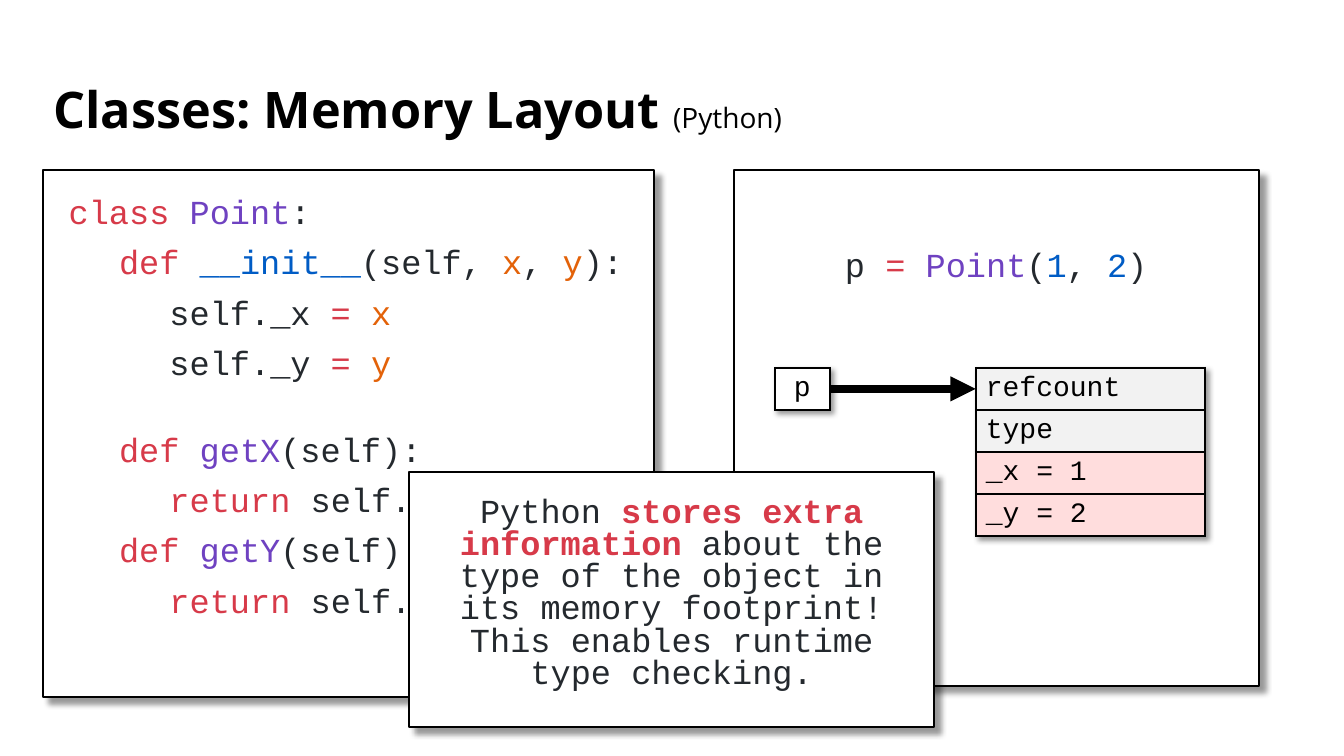
import pptx
import pptx.dml.color
import pptx.enum.shapes
import pptx.enum.text
import pptx.oxml
import pptx.oxml.ns
import pptx.util

Cm = pptx.util.Cm
Pt = pptx.util.Pt
RGBColor = pptx.dml.color.RGBColor
ALIGN = pptx.enum.text.PP_ALIGN
ANCHOR = pptx.enum.text.MSO_ANCHOR

BLACK = RGBColor(0x00, 0x00, 0x00)
WHITE = RGBColor(0xFF, 0xFF, 0xFF)
INK = RGBColor(0x24, 0x29, 0x2E)
RED = RGBColor(0xD7, 0x3A, 0x49)
PURPLE = RGBColor(0x6F, 0x42, 0xC1)
BLUE = RGBColor(0x00, 0x5C, 0xC5)
ORANGE = RGBColor(0xE3, 0x62, 0x09)
GREY_FILL = RGBColor(0xF2, 0xF2, 0xF2)
PINK_FILL = RGBColor(0xFF, 0xDD, 0xDD)

CODE_FONT = "Courier New"
TITLE_FONT = "Open Sans"
PAD = 0.64
TAB = 1.27
ROW = 1.06

CODE = [
    (0, [("class ", RED), ("Point", PURPLE), (":", INK)]),
    (1, [("def ", RED), ("__init__", BLUE), ("(self, ", INK), ("x", ORANGE),
         (", ", INK), ("y", ORANGE), ("):", INK)]),
    (2, [("self._x ", INK), ("= ", RED), ("x", ORANGE)]),
    (2, [("self._y ", INK), ("= ", RED), ("y", ORANGE)]),
    (1, [("def ", RED), ("getX", PURPLE), ("(self):", INK)]),
    (2, [("return ", RED), ("self._x", INK)]),
    (1, [("def ", RED), ("getY", PURPLE), ("(self):", INK)]),
    (2, [("return ", RED), ("self._y", INK)]),
]
BLOCK_STARTS = {4}
CALL = [("p ", INK), ("= ", RED), ("Point", PURPLE), ("(", INK),
        ("1", BLUE), (", ", INK), ("2", BLUE), (")", INK)]
NOTE = [("Python ", INK), ("stores extra information ", RED),
        ("about the type of the object in its memory footprint! "
         "This enables runtime type checking.", INK)]
FIELDS = [("refcount", GREY_FILL), ("type", GREY_FILL),
          ("_x = 1", PINK_FILL), ("_y = 2", PINK_FILL)]


def xml(text):
    ns = pptx.oxml.ns.nsdecls("a")
    return pptx.oxml.parse_xml(text.replace(">", f" {ns}>", 1))


def apply(target, formats):
    for name, value in formats.items():
        setattr(target, name, value)


def place(sp, box):
    apply(sp, dict(zip(("left", "top", "width", "height"), map(Cm, box))))


def add_run(p, text, color, size, font=CODE_FONT, bold=False):
    r = p.add_run()
    r.text = text
    apply(r.font, {"name": font, "size": Pt(size), "bold": bold})
    r.font.color.rgb = color


def shadow_xml(blur, dist):
    return ('<a:outerShdw blurRad="%d" dist="%d" dir="2700000" algn="tl" '
            'rotWithShape="0"><a:srgbClr val="000000"><a:alpha val="40000"/>'
            '</a:srgbClr></a:outerShdw>' % (Pt(blur), Pt(dist)))


def style_panel(sp, top_pad=PAD):
    sp.fill.solid()
    sp.fill.fore_color.rgb = WHITE
    sp.line.color.rgb = BLACK
    sp.line.width = Pt(1.5)
    sp.shadow.inherit = False
    effects = sp._element.spPr.find(pptx.oxml.ns.qn("a:effectLst"))
    effects.append(xml(shadow_xml(4, 6)))
    tf = sp.text_frame
    apply(tf, {"word_wrap": True, "auto_size": pptx.enum.text.MSO_AUTO_SIZE.NONE,
               "vertical_anchor": ANCHOR.TOP, "margin_top": Cm(top_pad),
               "margin_left": Cm(PAD), "margin_right": Cm(PAD),
               "margin_bottom": Cm(PAD)})
    return tf


def add_title(s, box):
    sp = s.shapes.title
    place(sp, box)
    tf = sp.text_frame
    apply(tf, {"vertical_anchor": ANCHOR.MIDDLE, "word_wrap": True})
    p = tf.paragraphs[0]
    apply(p, {"alignment": ALIGN.LEFT, "line_spacing": 0.9})
    add_run(p, "Classes: Memory Layout ", BLACK, 36, TITLE_FONT, True)
    add_run(p, "(Python)", BLACK, 20, TITLE_FONT)


def add_code(s, box):
    sp = s.placeholders[1]
    place(sp, box)
    tf = style_panel(sp)
    for i, (depth, parts) in enumerate(CODE):
        p = tf.add_paragraph() if i else tf.paragraphs[0]
        pPr = p._p.get_or_add_pPr()
        pPr.set("marL", str(Cm(TAB * depth)))
        pPr.set("indent", "0")
        pPr.append(xml("<a:buNone></a:buNone>"))
        before = 36 if i in BLOCK_STARTS else 10 if i else 0
        apply(p, {"line_spacing": 0.9, "space_before": Pt(before)})
        for text, color in parts:
            add_run(p, text, color, 24)


def add_panel(s, box, parts, spacing, top_pad=PAD, bold_color=None):
    sp = s.shapes.add_shape(pptx.enum.shapes.MSO_SHAPE.RECTANGLE, *map(Cm, box))
    p = style_panel(sp, top_pad).paragraphs[0]
    apply(p, {"alignment": ALIGN.CENTER, "line_spacing": spacing})
    for text, color in parts:
        add_run(p, text, color, 24, bold=color == bold_color)


def add_cells(s, left, top, width, rows, align):
    frame = s.shapes.add_table(len(rows), 1, Cm(left), Cm(top), Cm(width),
                               Cm(ROW * len(rows)))
    table = frame.table
    apply(table, {"first_row": False, "horz_banding": False})
    table._tbl.tblPr.insert(
        0, xml("<a:effectLst>" + shadow_xml(4, 3) + "</a:effectLst>"))
    for i, (text, fill) in enumerate(rows):
        cell = table.cell(i, 0)
        p = cell.text_frame.paragraphs[0]
        p.alignment = align
        add_run(p, text, BLACK, 20)
        tcPr = cell._tc.get_or_add_tcPr()
        for side in "LRTB":
            tcPr.append(xml(
                f'<a:ln{side} w="{Pt(1.5)}"><a:solidFill><a:srgbClr val="{BLACK}"/>'
                f'</a:solidFill></a:ln{side}>'))
        cell.fill.solid()
        cell.fill.fore_color.rgb = fill


def add_arrow(s, x1, x2, y):
    line = s.shapes.add_connector(pptx.enum.shapes.MSO_CONNECTOR.STRAIGHT,
                                  Cm(x1), Cm(y), Cm(x2), Cm(y))
    line.line.color.rgb = BLACK
    line.line.width = Pt(6)
    line.line._get_or_add_ln().append(xml('<a:tailEnd type="triangle"></a:tailEnd>'))
    line._element.spPr.append(xml("<a:effectLst></a:effectLst>"))


def add_memory(s, box):
    left, top = box[:2]
    add_panel(s, box, CALL, 0.9, top_pad=1.96)
    name_x, object_x, y = left + 1.04, left + 6.1, top + 4.98
    name_width = 1.38
    add_cells(s, object_x, y, 5.77, FIELDS, ALIGN.LEFT)
    add_cells(s, name_x, y, name_width, [("p", WHITE)], ALIGN.CENTER)
    add_arrow(s, name_x + name_width, object_x, y + ROW / 2)


def main():
    prs = pptx.Presentation()
    apply(prs, {"slide_width": Cm(33.87), "slide_height": Cm(19.05)})
    s = prs.slides.add_slide(prs.slide_layouts[1])
    add_title(s, (1.09, 1.75, 30.63, 2.13))
    add_code(s, (1.09, 4.29, 15.39, 13.28))
    add_memory(s, (18.49, 4.29, 13.23, 13))
    add_panel(s, (10.31, 11.89, 13.23, 6.43), NOTE, 0.8, bold_color=RED)
    prs.save("out.pptx")


if __name__ == "__main__":
    main()
